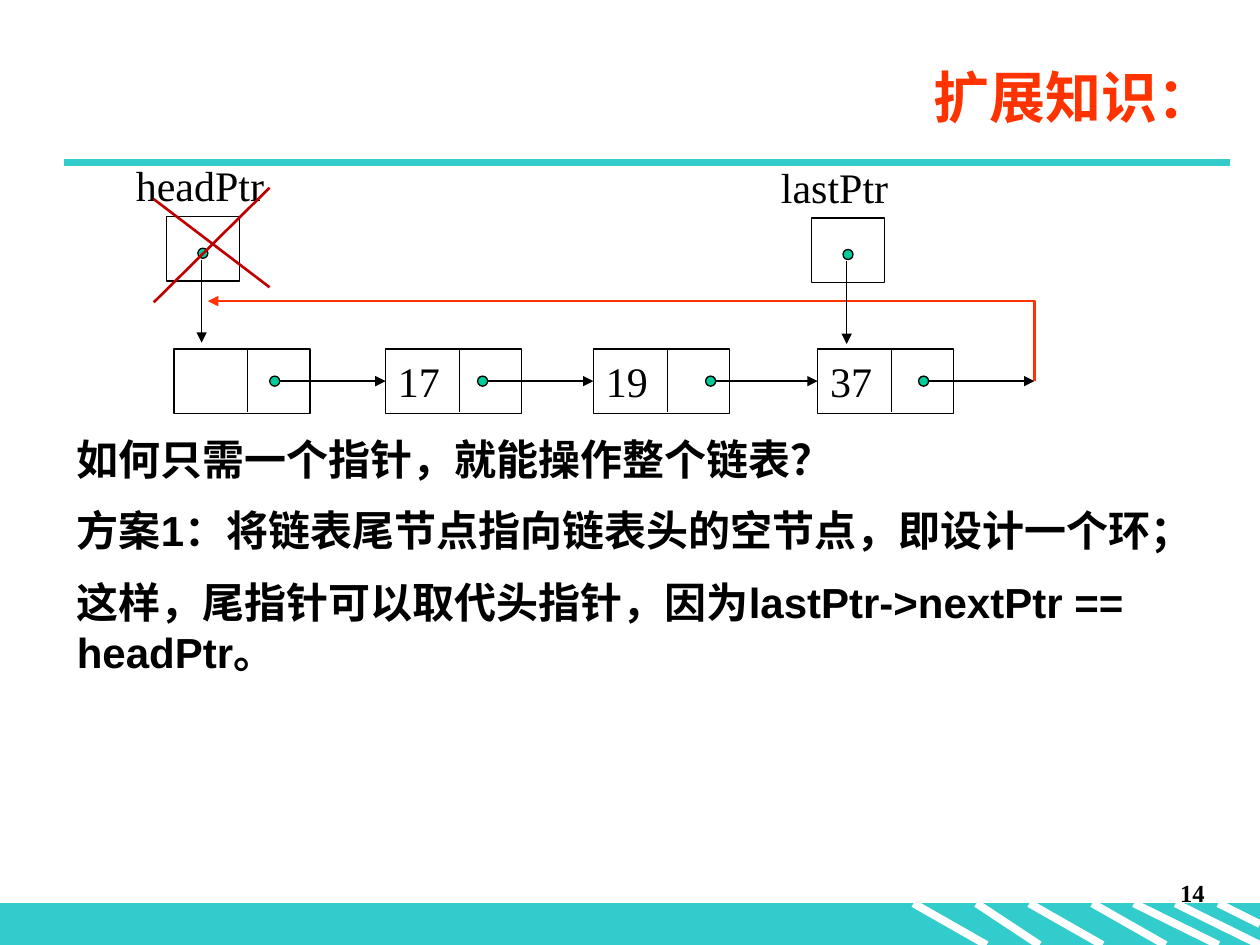
from lxml import etree
from pptx import Presentation
from pptx.dml.color import RGBColor
from pptx.enum import shapes, text
from pptx.oxml.ns import qn
from pptx.util import Inches, Pt

BLACK, WHITE, TEAL, GREEN, ORANGE, RED = "000000", "FFFFFF", "33CCCC", "00CC99", "FF3300", "C00000"
SERIF = "Times New Roman"
DOT = 0.08
NODE_WIDTH, NODE_HEIGHT = 1.08, 0.51
POINTER_WIDTH = 0.58


def color(value):
    return RGBColor.from_string(value)


def place(shape, box):
    shape.left, shape.top, shape.width, shape.height = map(Inches, box)


def write(shape, lines, size, font, fill=BLACK, bold=False,
          align=text.PP_ALIGN.LEFT, anchor=text.MSO_ANCHOR.TOP):
    frame = shape.text_frame
    frame.word_wrap = True
    frame.auto_size = text.MSO_AUTO_SIZE.NONE
    frame.vertical_anchor = anchor
    for index, line in enumerate(lines):
        paragraph = frame.add_paragraph() if index else frame.paragraphs[0]
        properties = paragraph._p.get_or_add_pPr()
        properties.set("marL", "0")
        properties.set("indent", "0")
        etree.SubElement(properties, qn("a:buNone"))
        paragraph.alignment = align
        paragraph.space_before = Pt(size / 2 if index else 0)
        run = paragraph.add_run()
        run.text = line
        run.font.size = Pt(size)
        run.font.bold = bold
        run.font.name = font
        run.font.color.rgb = color(fill)
        run_properties = run._r.get_or_add_rPr()
        run_properties.set("lang", "zh-CN")
        etree.SubElement(run_properties, qn("a:ea")).set("typeface", font)


def add_text(slide, box, *args, **options):
    shape = slide.shapes.add_textbox(*map(Inches, box))
    write(shape, *args, **options)


def add_box(slide, kind, box, fill=None, line=BLACK):
    shape = slide.shapes.add_shape(kind, *map(Inches, box))
    shape.shadow.inherit = False
    if fill:
        shape.fill.solid()
        shape.fill.fore_color.rgb = color(fill)
    else:
        shape.fill.background()
    shape.line.color.rgb = color(line)
    shape.line.width = Pt(0.75)
    return shape


def add_line(slide, start, end, line=BLACK, width=0.75, arrow=False,
             kind=shapes.MSO_CONNECTOR.STRAIGHT):
    connector = slide.shapes.add_connector(kind, *map(Inches, (*start, *end)))
    connector.line.color.rgb = color(line)
    connector.line.width = Pt(width)
    if arrow:
        etree.SubElement(connector.line._get_or_add_ln(), qn("a:tailEnd")).set("type", "triangle")
    etree.SubElement(connector._element.spPr, qn("a:effectLst"))
    return connector


def add_dot(slide, left, top):
    add_box(slide, shapes.MSO_SHAPE.OVAL, (left, top, DOT, DOT), GREEN)


def add_corner_arrow(slide, start, end):
    center_x, center_y = (start[0] + end[0]) / 2, (start[1] + end[1]) / 2
    half_width, half_height = (start[1] - end[1]) / 2, (start[0] - end[0]) / 2
    connector = add_line(slide, (center_x - half_width, center_y + half_height),
                         (center_x + half_width, center_y - half_height),
                         ORANGE, 1.5, True, shapes.MSO_CONNECTOR.ELBOW)
    properties = connector._element.spPr
    properties.find(qn("a:xfrm")).set("rot", str(270 * 60000))
    properties.find(qn("a:prstGeom")).set("prst", "bentConnector2")


def add_footer(slide, box):
    left, top, width, height = box
    bottom = top + height
    add_box(slide, shapes.MSO_SHAPE.RECTANGLE, box, TEAL, TEAL)
    stripes = [(7.25, 7.83), (7.75, 8.25), (8.17, 8.75), (8.67, 9.25), (9, 9.67), (9.33, 10)]
    for start, end in stripes:
        add_line(slide, (start, top), (end, bottom), WHITE, 4.5)
    add_line(slide, (9.67, top), (left + width, top + height / 2), WHITE, 4.5)
    add_text(slide, (7.58, top - 0.25, 2.08, 0.5), ["14"], 14, SERIF, bold=True,
             align=text.PP_ALIGN.RIGHT)


def add_pointer(slide, left, top, label):
    add_box(slide, shapes.MSO_SHAPE.RECTANGLE, (left, top, POINTER_WIDTH, NODE_HEIGHT))
    add_text(slide, (left - 0.34, top - 0.5, 1.33, 0.5), [label], 24, SERIF)
    add_dot(slide, left + 0.25, top + 0.25)
    add_line(slide, (left + 0.28, top + 0.34), (left + 0.28, top + 1), arrow=True)


def add_node(slide, left, top, value):
    node = add_box(slide, shapes.MSO_SHAPE.RECTANGLE, (left, top, NODE_WIDTH, NODE_HEIGHT))
    if value:
        write(node, [value], 24, SERIF, anchor=text.MSO_ANCHOR.MIDDLE)
    divider = left + 0.585
    add_line(slide, (divider, top), (divider, top + 0.5))
    return node


def add_linked_list(slide, top):
    middle = top + NODE_HEIGHT / 2
    entries = [(1.38, "", 2.14), (3.06, "17", 3.79), (4.71, "19", 5.6), (6.49, "37", 7.29)]
    nodes = [add_node(slide, left, top, value) for left, value, _ in entries]
    for (_, _, dot), target in zip(entries, nodes[1:] + [None]):
        add_dot(slide, dot, middle - DOT / 2)
        arrow = add_line(slide, (dot + DOT, middle), (8.21, middle), arrow=True)
        if target:
            arrow.end_connect(target, 1)
    add_corner_arrow(slide, (8.21, middle), (1.65, 2.39))


def add_cross(slide, left, right):
    add_line(slide, (right, 1.49), (left, 2.4), RED, 1.5)
    add_line(slide, (right, 2.28), (left, 1.58), RED, 1.5)


def add_wording(slide, title_box, body_box):
    title, body = slide.placeholders
    place(title, title_box)
    write(title, ["扩展知识："], 32, "Noto Sans CJK SC", ORANGE, True,
          text.PP_ALIGN.RIGHT, text.MSO_ANCHOR.MIDDLE)
    place(body, body_box)
    write(body, ["如何只需一个指针，就能操作整个链表？",
                 "方案1：将链表尾节点指向链表头的空节点，即设计一个环；",
                 "这样，尾指针可以取代头指针，因为lastPtr->nextPtr == headPtr。"],
          24, "Arial", bold=True)


def main():
    presentation = Presentation()
    presentation.slide_width, presentation.slide_height = Inches(10), Inches(7.5)
    slide = presentation.slides.add_slide(presentation.slide_layouts[1])
    add_footer(slide, (0, 7.17, 10, 0.33))
    add_line(slide, (0.51, 1.29), (9.76, 1.29), TEAL, 4.5)
    add_wording(slide, (4.69, 0.44, 5.04, 0.64), (0.51, 3.39, 9.13, 2.12))
    add_linked_list(slide, 2.77)
    add_pointer(slide, 1.32, 1.72, "headPtr")
    add_pointer(slide, 6.44, 1.73, "lastPtr")
    add_cross(slide, 1.22, 2.14)
    presentation.save("out.pptx")


if __name__ == "__main__":
    main()
